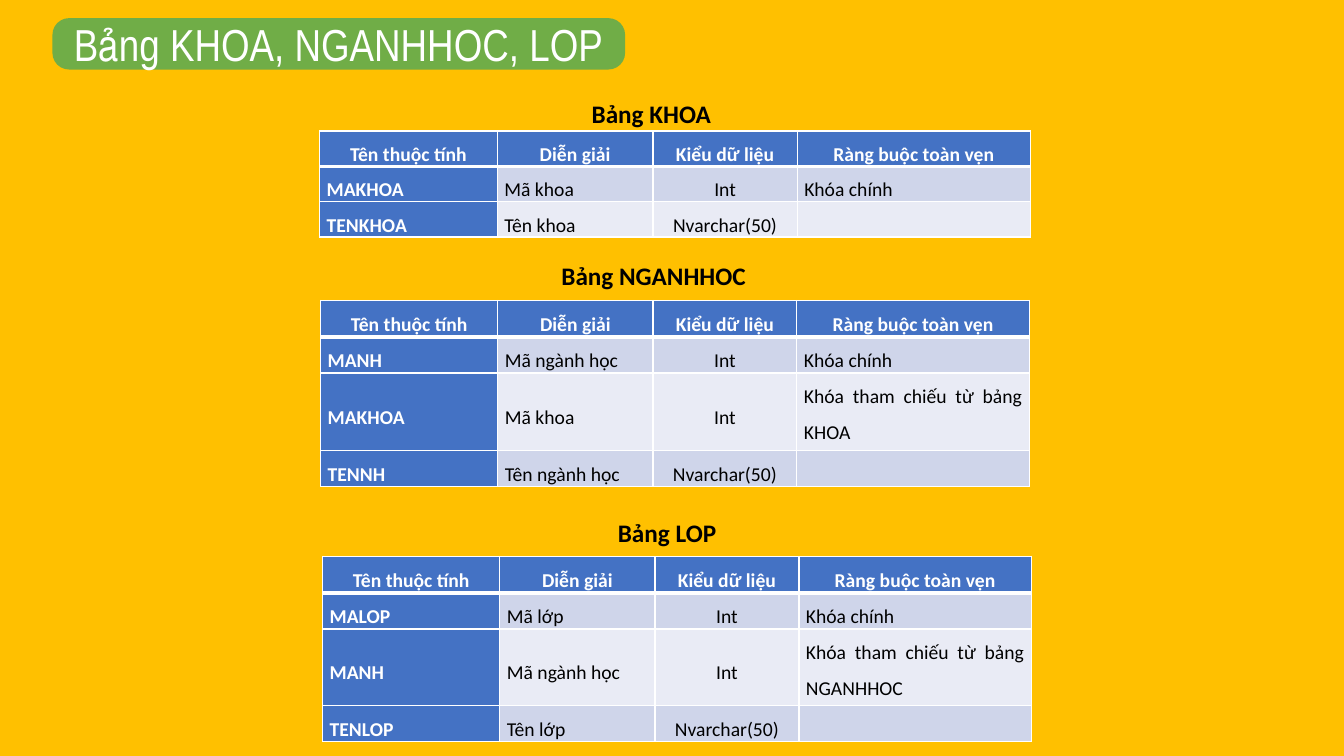
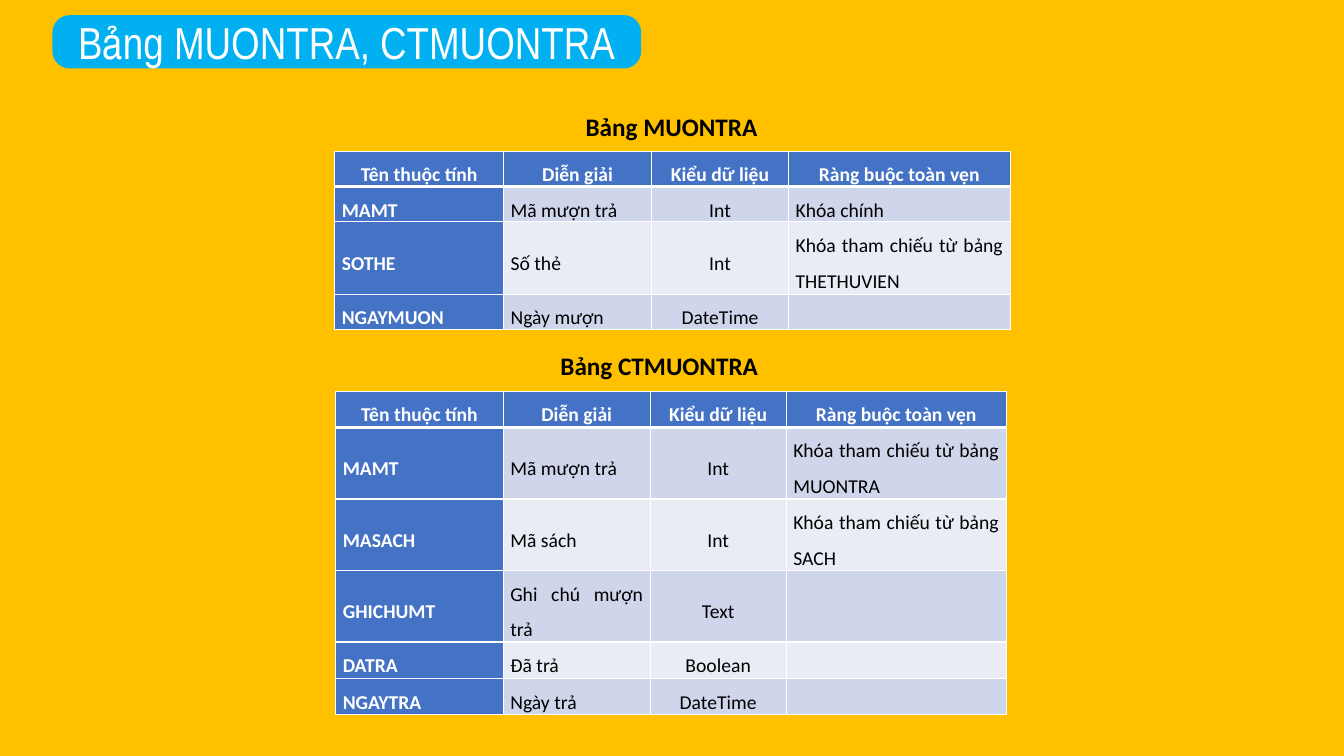
from dataclasses import dataclass

from lxml.etree import SubElement
from pptx import Presentation
from pptx.dml.color import RGBColor
from pptx.enum.shapes import MSO_SHAPE
from pptx.enum.text import MSO_ANCHOR, MSO_AUTO_SIZE, PP_ALIGN
from pptx.oxml.ns import qn
from pptx.slide import Slide
from pptx.table import _Cell
from pptx.text.text import _Paragraph
from pptx.util import Emu, Pt

EMU_PER_PX = 9144
BACKGROUND = "FFC000"
GREEN = "70AD47"
SKY = "00B0F0"
BLUE = "4472C4"
BANDS = ("CFD5EA", "E9EBF5")
WHITE = "FFFFFF"
BLACK = "000000"
TITLE_FONT = "Arial Narrow"
BODY_FONT = "Calibri"
HEADERS = ("Tên thuộc tính", "Diễn giải", "Kiểu dữ liệu", "Ràng buộc toàn vẹn")
COLUMN_SHARES = (0.25, 0.219, 0.203, 0.328)
COLUMN_ALIGNS = (PP_ALIGN.JUSTIFY, PP_ALIGN.JUSTIFY, PP_ALIGN.CENTER, PP_ALIGN.JUSTIFY)
CELL_MARGIN = 7
THIN, THICK = 1, 3


@dataclass(frozen=True)
class Attribute:
    name: str
    meaning: str
    kind: str
    constraint: str = ""
    tall: bool = False


@dataclass(frozen=True)
class Schema:
    caption: str
    caption_x: int
    caption_y: int
    x: int
    y: int
    width: int
    row_h: int
    tall_h: int
    attributes: tuple[Attribute, ...]


@dataclass(frozen=True)
class Page:
    title: str
    y: int
    width: int
    height: int
    fill: str
    schemas: tuple[Schema, ...]


PAGES = (
    Page("Bảng KHOA, NGANHHOC, LOP", 18, 568, 51, GREEN, (
        Schema("Bảng KHOA", 577, 93, 317, 130, 705, 33, 71, (
            Attribute("MAKHOA", "Mã khoa", "Int", "Khóa chính"),
            Attribute("TENKHOA", "Tên khoa", "Nvarchar(50)"),
        )),
        Schema("Bảng NGANHHOC", 547, 253, 318, 298, 703, 36, 77, (
            Attribute("MANH", "Mã ngành học", "Int", "Khóa chính"),
            Attribute("MAKHOA", "Mã khoa", "Int", "Khóa tham chiếu từ bảng KHOA", True),
            Attribute("TENNH", "Tên ngành học", "Nvarchar(50)"),
        )),
        Schema("Bảng LOP", 603, 508, 320, 552, 703, 36, 76, (
            Attribute("MALOP", "Mã lớp", "Int", "Khóa chính"),
            Attribute("MANH", "Mã ngành học", "Int", "Khóa tham chiếu từ bảng NGANHHOC", True),
            Attribute("TENLOP", "Tên lớp", "Nvarchar(50)"),
        )),
    )),
    Page("Bảng MUONTRA, CTMUONTRA", 15, 584, 53, SKY, (
        Schema("Bảng MUONTRA", 571, 106, 332, 150, 670, 34, 72, (
            Attribute("MAMT", "Mã mượn trả", "Int", "Khóa chính"),
            Attribute("SOTHE", "Số thẻ", "Int", "Khóa tham chiếu từ bảng THETHUVIEN", True),
            Attribute("NGAYMUON", "Ngày mượn", "DateTime"),
        )),
        Schema("Bảng CTMUONTRA", 546, 343, 333, 388, 665, 36, 71, (
            Attribute("MAMT", "Mã mượn trả", "Int", "Khóa tham chiếu từ bảng MUONTRA", True),
            Attribute("MASACH", "Mã sách", "Int", "Khóa tham chiếu từ bảng SACH", True),
            Attribute("GHICHUMT", "Ghi chú mượn trả", "Text", tall=True),
            Attribute("DATRA", "Đã trả", "Boolean"),
            Attribute("NGAYTRA", "Ngày trả", "DateTime"),
        )),
    )),
)


def px(n: float) -> Emu:
    return Emu(round(n * EMU_PER_PX))


def rgb(color: str) -> RGBColor:
    return RGBColor.from_string(color)


def add_run(p: _Paragraph, text: str, size: int, font: str, color: str, bold: bool = False) -> None:
    r = p.add_run()
    r.text = text
    r.font.size = Pt(size)
    r.font.name = font
    r.font.bold = bold
    r.font.color.rgb = rgb(color)


def add_title(s: Slide, page: Page) -> None:
    sp = s.shapes.add_shape(MSO_SHAPE.ROUNDED_RECTANGLE, px(52), px(page.y), px(page.width), px(page.height))
    sp.adjustments[0] = 0.325
    sp.shadow.inherit = False
    sp.fill.solid()
    sp.fill.fore_color.rgb = rgb(page.fill)
    sp.line.fill.background()
    tf = sp.text_frame
    tf.vertical_anchor = MSO_ANCHOR.MIDDLE
    p = tf.paragraphs[0]
    p.alignment = PP_ALIGN.CENTER
    add_run(p, page.title, 32, TITLE_FONT, WHITE)


def add_caption(s: Slide, schema: Schema) -> None:
    sp = s.shapes.add_textbox(px(schema.caption_x), px(schema.caption_y), px(242), px(40))
    tf = sp.text_frame
    tf.word_wrap = True
    tf.auto_size = MSO_AUTO_SIZE.SHAPE_TO_FIT_TEXT
    add_run(tf.paragraphs[0], schema.caption, 18, BODY_FONT, BLACK, True)


def set_borders(cell: _Cell, top: int, bottom: int) -> None:
    tc_pr = cell._tc.get_or_add_tcPr()
    for side, width in (("L", THIN), ("R", THIN), ("T", top), ("B", bottom)):
        ln = SubElement(tc_pr, qn(f"a:ln{side}"), w=str(Pt(width)))
        SubElement(SubElement(ln, qn("a:solidFill")), qn("a:srgbClr"), val=WHITE)


def fill_cell(cell: _Cell, text: str, row: int, col: int) -> None:
    is_head = row == 0
    is_key = is_head or col == 0
    set_borders(cell, THICK if row == 1 else THIN, THICK if is_head else THIN)
    cell.fill.solid()
    cell.fill.fore_color.rgb = rgb(BLUE if is_key else BANDS[(row - 1) % 2])
    cell.margin_left = cell.margin_right = px(CELL_MARGIN)
    cell.margin_top = cell.margin_bottom = 0
    is_constraint = col == len(HEADERS) - 1 and not is_head
    cell.vertical_anchor = MSO_ANCHOR.TOP if is_constraint else MSO_ANCHOR.MIDDLE
    if text:
        p = cell.text_frame.paragraphs[0]
        p.alignment = PP_ALIGN.CENTER if is_head else COLUMN_ALIGNS[col]
        p.line_spacing = 1.5
        add_run(p, text, 14, BODY_FONT, WHITE if is_key else BLACK, is_key)


def add_schema(s: Slide, schema: Schema) -> None:
    rows = [HEADERS] + [(a.name, a.meaning, a.kind, a.constraint) for a in schema.attributes]
    heights = [schema.row_h] + [schema.tall_h if a.tall else schema.row_h for a in schema.attributes]
    frame = s.shapes.add_table(
        len(rows), len(HEADERS), px(schema.x), px(schema.y), px(schema.width), px(sum(heights))
    )
    table = frame.table
    table.first_col = True
    table.horz_banding = False
    for column, share in zip(table.columns, COLUMN_SHARES):
        column.width = px(schema.width * share)
    for i, (texts, height) in enumerate(zip(rows, heights)):
        table.rows[i].height = px(height)
        for j, text in enumerate(texts):
            fill_cell(table.cell(i, j), text, i, j)


def main() -> None:
    prs = Presentation()
    prs.slide_width, prs.slide_height = px(1333), px(750)
    for page in PAGES:
        s = prs.slides.add_slide(prs.slide_layouts[6])
        s.background.fill.solid()
        s.background.fill.fore_color.rgb = rgb(BACKGROUND)
        add_title(s, page)
        for schema in page.schemas:
            add_caption(s, schema)
            add_schema(s, schema)
    prs.save("out.pptx")


if __name__ == "__main__":
    main()
